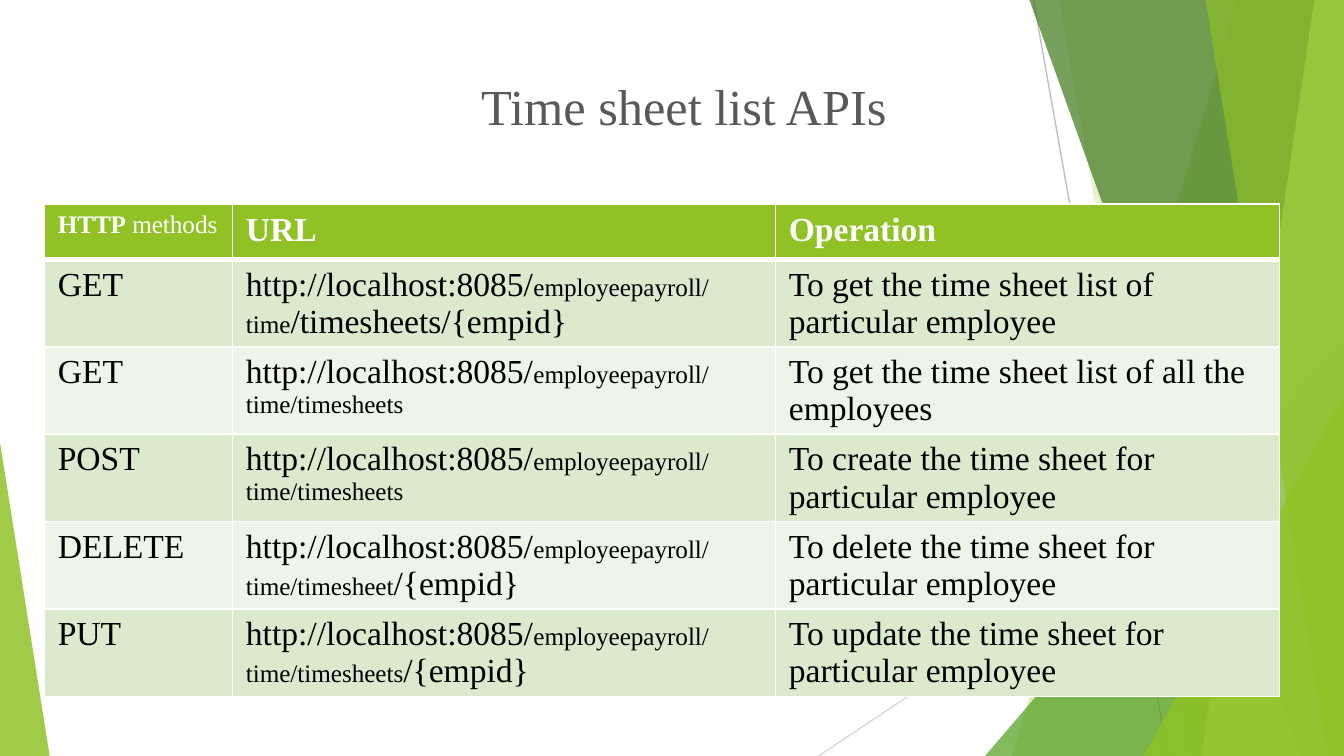
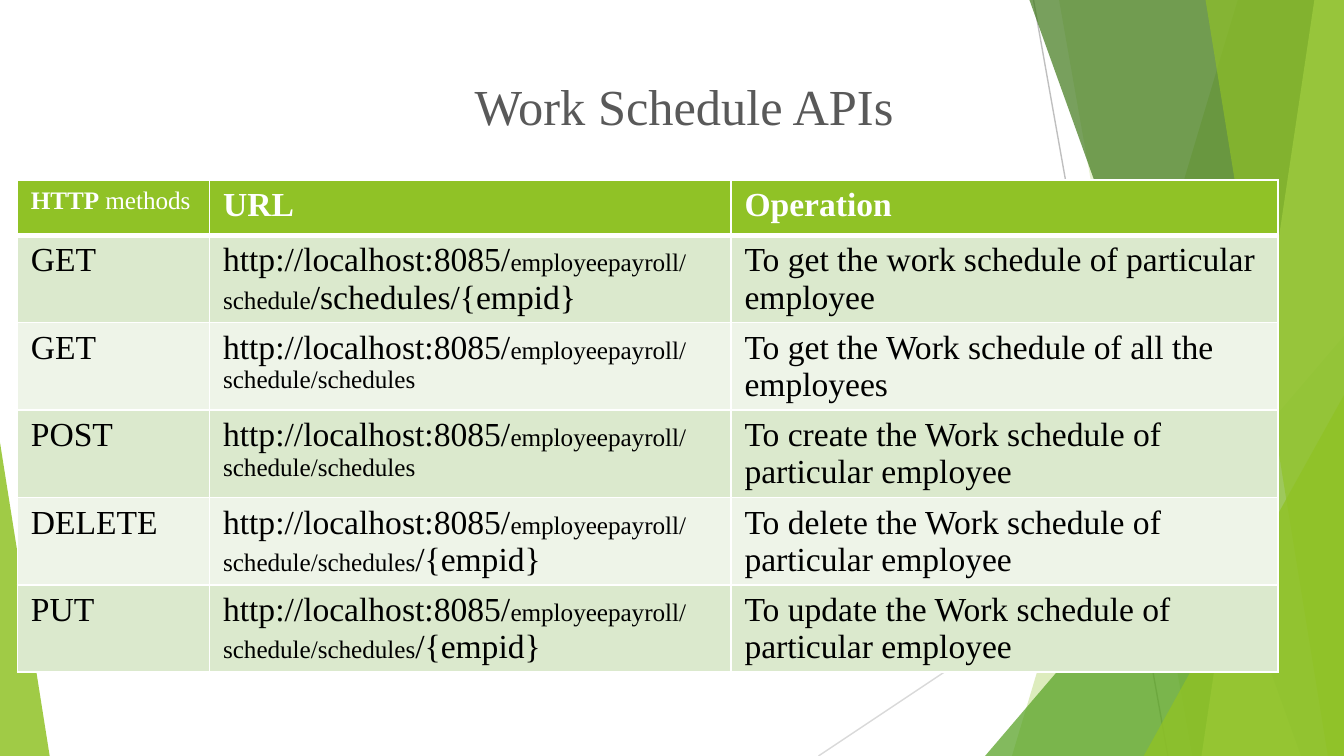
"""Build two slides that list the time sheet and work schedule APIs."""
from lxml.etree import SubElement
from pptx import Presentation
from pptx.dml.color import RGBColor
from pptx.enum.shapes import MSO_CONNECTOR, MSO_SHAPE
from pptx.enum.text import MSO_ANCHOR, PP_ALIGN
from pptx.oxml.ns import qn
from pptx.util import Inches, Pt

WIDTH = 10
HEIGHT = WIDTH * 9 / 16
FONT = "Times New Roman"
LARGE, SMALL, TITLE_SIZE = 18, 13.5, 27
ROW_HEIGHT = 0.41

WHITE = RGBColor(0xFF, 0xFF, 0xFF)
BLACK = RGBColor(0x00, 0x00, 0x00)
TITLE_GREY = RGBColor(0x59, 0x59, 0x59)
MID_GREY = RGBColor(0xBF, 0xBF, 0xBF)
PALE_GREY = RGBColor(0xD9, 0xD9, 0xD9)
LIME = RGBColor(0x90, 0xC2, 0x26)
PALE_LIME = RGBColor(0xC0, 0xE4, 0x74)
GREEN = RGBColor(0x54, 0xA0, 0x21)
DARK_GREEN = RGBColor(0x3F, 0x78, 0x19)
ROW_FILLS = [RGBColor(0xDB, 0xE9, 0xCD), RGBColor(0xEE, 0xF4, 0xE8)]

HOST = "http://localhost:8085/"
HEADER = [
    [("HTTP", SMALL, True), (" methods", SMALL, False)],
    [("URL", LARGE, True)],
    [("Operation", LARGE, True)],
]

SLIDES = [
    {
        "title": "Time sheet list APIs",
        "at": (0.33, 1.52),
        "columns": (1.4, 4.04, 3.75),
        "base": "employeepayroll/time",
        "rows": [
            ("GET", "", "/timesheets/{empid}", "To get the time sheet list of particular employee"),
            ("GET", "/timesheets", "", "To get the time sheet list of all the employees"),
            ("POST", "/timesheets", "", "To create the time sheet for particular employee"),
            ("DELETE", "/timesheet", "/{empid}", "To delete the time sheet for particular employee"),
            ("PUT", "/timesheets", "/{empid}", "To update the time sheet for particular employee"),
        ],
    },
    {
        "title": "Work Schedule APIs",
        "at": (0.13, 1.34),
        "columns": (1.43, 3.88, 4.07),
        "base": "employeepayroll/schedule",
        "rows": [
            ("GET", "", "/schedules/{empid}", "To get the work schedule of particular employee"),
            ("GET", "/schedules", "", "To get the Work schedule of all the employees"),
            ("POST", "/schedules", "", "To create the Work schedule of particular employee"),
            ("DELETE", "/schedules", "/{empid}", "To delete the Work schedule of particular employee"),
            ("PUT", "/schedules", "/{empid}", "To update the Work schedule of particular employee"),
        ],
    },
]

LINES = [
    ((7.69, 0), (8.69, HEIGHT), MID_GREY),
    ((10, 3.02), (6.09, HEIGHT), PALE_GREY),
]
FACETS = [
    ("band", 9.21, 7.53, LIME, 30),
    ("band", 7.88, 8.87, LIME, 20),
    ("triangle", (7.33, 2.5, 2.67), 1, GREEN, 72),
    ("band", 7.66, 9.68, DARK_GREEN, 70),
    ("band", 9.78, 8.94, PALE_LIME, 70),
    ("band", 8.97, 9.88, LIME, 65),
    ("triangle", (8.51, 2.94, 1.49), 1, LIME, 80),
    ("triangle", (0, 3.29, 0.37), 0, LIME, 85),
]


def add_band(page, top_x, bottom_x):
    builder = page.shapes.build_freeform(Inches(top_x), 0)
    corners = [(WIDTH, 0), (WIDTH, HEIGHT), (bottom_x, HEIGHT)]
    builder.add_line_segments([(Inches(x), Inches(y)) for x, y in corners], close=True)
    return builder.convert_to_shape()


def add_triangle(page, place, apex):
    left, top, width = place
    shape = page.shapes.add_shape(
        MSO_SHAPE.ISOSCELES_TRIANGLE,
        Inches(left), Inches(top), Inches(width), Inches(HEIGHT - top),
    )
    shape.adjustments[0] = apex
    return shape


def add_backdrop(page):
    for start, end, color in LINES:
        line = page.shapes.add_connector(
            MSO_CONNECTOR.STRAIGHT, *[Inches(value) for value in start + end]
        )
        line.line.color.rgb = color
        line.line.width = Pt(0.75)
        SubElement(line.element.spPr, qn("a:effectLst"))
    for kind, first, second, color, opacity in FACETS:
        add_facet = add_band if kind == "band" else add_triangle
        shape = add_facet(page, first, second)
        shape.shadow.inherit = False
        shape.line.fill.background()
        shape.fill.solid()
        shape.fill.fore_color.rgb = color
        paint = shape.element.spPr.find(qn("a:solidFill")).find(qn("a:srgbClr"))
        SubElement(paint, qn("a:alpha"), val=str(opacity * 1000))


def add_span(para, text, size, color, bold=False):
    span = para.add_run()
    span.text = text
    span.font.name = FONT
    span.font.size = Pt(size)
    span.font.bold = bold
    span.font.color.rgb = color


def add_title(page, text):
    box = page.shapes.add_textbox(Inches(0.66), Inches(0.46), Inches(8.86), Inches(0.63))
    frame = box.text_frame
    frame.word_wrap = True
    frame.vertical_anchor = MSO_ANCHOR.BOTTOM
    frame.margin_left = frame.margin_right = frame.margin_top = Inches(0.1)
    frame.margin_bottom = Inches(0.08)
    para = frame.paragraphs[0]
    para.alignment = PP_ALIGN.CENTER
    add_span(para, text, TITLE_SIZE, TITLE_GREY)


def add_borders(cell, top, bottom):
    properties = cell._tc.get_or_add_tcPr()
    for side, width in (("L", 1), ("R", 1), ("T", top), ("B", bottom)):
        line = SubElement(properties, qn(f"a:ln{side}"), w=str(Pt(width)))
        fill = SubElement(line, qn("a:solidFill"))
        SubElement(fill, qn("a:srgbClr"), val=str(WHITE))


def endpoint_cells(base, method, small_tail, large_tail, operation):
    url = [(HOST, LARGE, False), (base + small_tail, SMALL, False)]
    if large_tail:
        url.append((large_tail, LARGE, False))
    return [[(method, LARGE, False)], url, [(operation, LARGE, False)]]


def add_endpoints(page, content):
    rows = [HEADER] + [endpoint_cells(content["base"], *row) for row in content["rows"]]
    columns = content["columns"]
    left, top = content["at"]
    table = page.shapes.add_table(
        len(rows), len(columns), Inches(left), Inches(top),
        Inches(sum(columns)), Inches(ROW_HEIGHT * len(rows)),
    ).table
    for column, width in zip(table.columns, columns):
        column.width = Inches(width)
    for row_index, row in enumerate(rows):
        is_header = row_index == 0
        table.rows[row_index].height = Inches(ROW_HEIGHT)
        for column_index, spans in enumerate(row):
            cell = table.cell(row_index, column_index)
            cell.margin_bottom = 0
            add_borders(cell, 3 if row_index == 1 else 1, 3 if is_header else 1)
            cell.fill.solid()
            cell.fill.fore_color.rgb = LIME if is_header else ROW_FILLS[(row_index - 1) % 2]
            para = cell.text_frame.paragraphs[0]
            for text, size, bold in spans:
                add_span(para, text, size, WHITE if is_header else BLACK, bold)


def main():
    deck = Presentation()
    deck.slide_width = Inches(WIDTH)
    deck.slide_height = Inches(HEIGHT)
    for content in SLIDES:
        page = deck.slides.add_slide(deck.slide_layouts[6])
        add_backdrop(page)
        add_title(page, content["title"])
        add_endpoints(page, content)
    deck.save("out.pptx")


if __name__ == "__main__":
    main()
